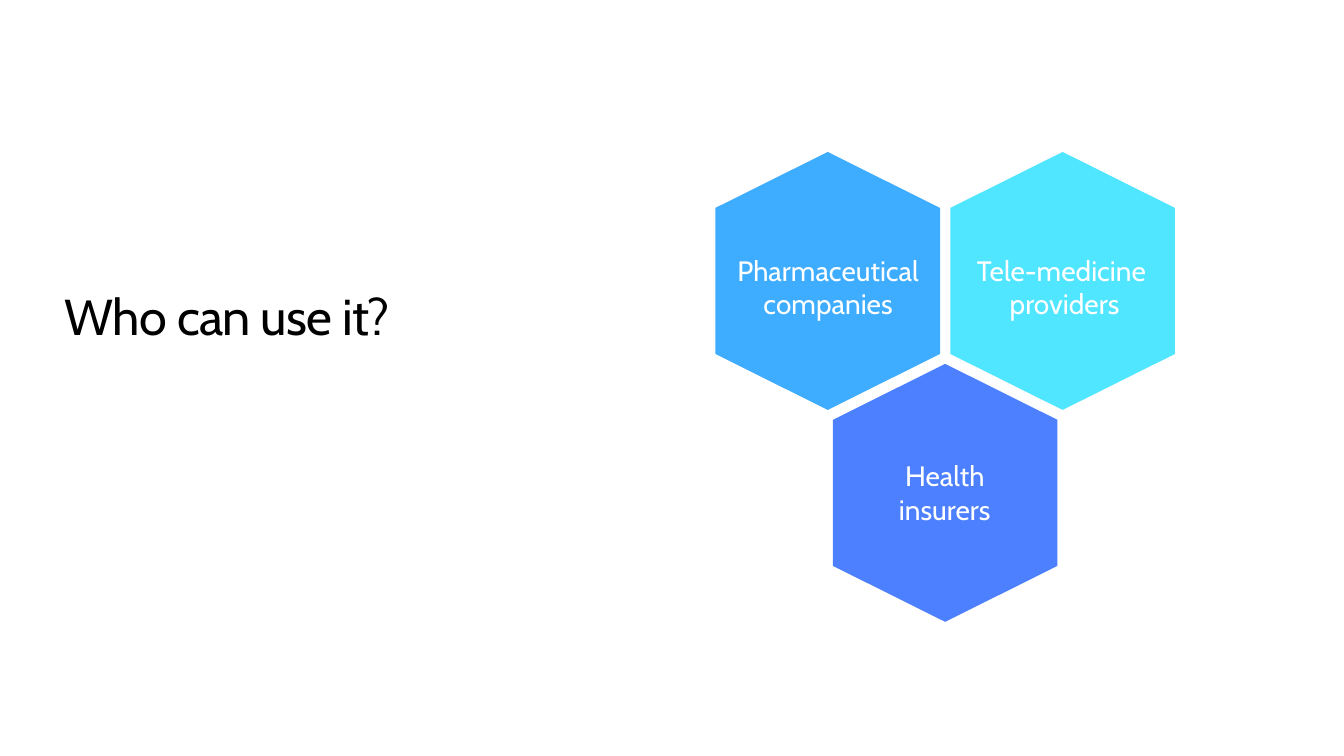
from dataclasses import dataclass

from pptx import Presentation
from pptx.dml.color import RGBColor
from pptx.enum.text import MSO_ANCHOR as Anchor, MSO_AUTO_SIZE as AutoSize, PP_ALIGN as Align
from pptx.slide import Slide
from pptx.text.text import TextFrame
from pptx.util import Cm, Pt

FONT = "Cabin"
COLORS = {
    "title": "000000",
    "label": "FFFFFF",
    "cyan": "50E6FF",
    "sky": "3FADFF",
    "blue": "4D80FF",
}

# Hexagon grid, in centimetres
HEX_WIDTH, HEX_HEIGHT, SHOULDER = 5.66, 6.5, 1.41
FIRST_CENTER, FIRST_TOP = 20.86, 3.83
COLUMN_STEP, ROW_STEP = 5.92, 5.34
LABEL_HEIGHT = 1.7


@dataclass(frozen=True)
class Audience:
    label: str
    color: str
    column: float
    row: int
    label_left: float
    label_top: float
    label_width: float


AUDIENCES = [
    Audience("Pharmaceutical\ncompanies", "sky", 0, 0, 17.96, 6.38, 5.82),
    Audience("Tele-medicine \nproviders", "cyan", 1, 0, 24.38, 6.38, 4.9),
    Audience("Health insurers", "blue", 0.5, 1, 21.89, 11.56, 3.84),
]


def rgb(name: str) -> RGBColor:
    return RGBColor.from_string(COLORS[name])


def format_text(frame: TextFrame, size: float, color: str, align: Align, anchor: Anchor) -> None:
    frame.margin_left = frame.margin_top = frame.margin_right = frame.margin_bottom = 0
    frame.word_wrap = True
    frame.auto_size = AutoSize.SHAPE_TO_FIT_TEXT
    frame.vertical_anchor = anchor
    for paragraph in frame.paragraphs:
        paragraph.alignment = align
        for run in paragraph.runs:
            run.font.name = FONT
            run.font.size = Pt(size)
            run.font.color.rgb = rgb(color)


def add_title(slide: Slide, wording: str) -> None:
    title = slide.shapes.title
    title.left, title.top, title.width, title.height = Cm(1.63), Cm(7.16), Cm(11.56), Cm(1.55)
    title.text_frame.text = wording
    format_text(title.text_frame, 36, "title", Align.LEFT, Anchor.BOTTOM)
    # Letter spacing in hundredths of a point
    title.text_frame.paragraphs[0].runs[0].font._element.set("spc", "-50")


def add_hexagon(slide: Slide, audience: Audience) -> None:
    center = FIRST_CENTER + audience.column * COLUMN_STEP
    top = FIRST_TOP + audience.row * ROW_STEP
    left, right = center - HEX_WIDTH / 2, center + HEX_WIDTH / 2
    upper, lower, bottom = top + SHOULDER, top + HEX_HEIGHT - SHOULDER, top + HEX_HEIGHT
    corners = [(right, upper), (right, lower), (center, bottom), (left, lower), (left, upper)]
    outline = slide.shapes.build_freeform(Cm(center), Cm(top))
    outline.add_line_segments([(Cm(x), Cm(y)) for x, y in corners], close=True)
    hexagon = outline.convert_to_shape()
    hexagon.shadow.inherit = False
    hexagon.fill.solid()
    hexagon.fill.fore_color.rgb = rgb(audience.color)
    hexagon.line.fill.background()


def add_label(slide: Slide, audience: Audience) -> None:
    label = slide.shapes.add_textbox(
        Cm(audience.label_left), Cm(audience.label_top), Cm(audience.label_width), Cm(LABEL_HEIGHT)
    )
    label.text_frame.text = audience.label
    format_text(label.text_frame, 20, "label", Align.CENTER, Anchor.TOP)


def main() -> None:
    deck = Presentation()
    deck.slide_width, deck.slide_height = Cm(33.87), Cm(19.05)
    slide = deck.slides.add_slide(deck.slide_layouts.get_by_name("Title Only"))
    add_title(slide, "Who can use it?")
    for audience in AUDIENCES:
        add_hexagon(slide, audience)
    for audience in AUDIENCES:
        add_label(slide, audience)
    deck.save("out.pptx")


if __name__ == "__main__":
    main()
